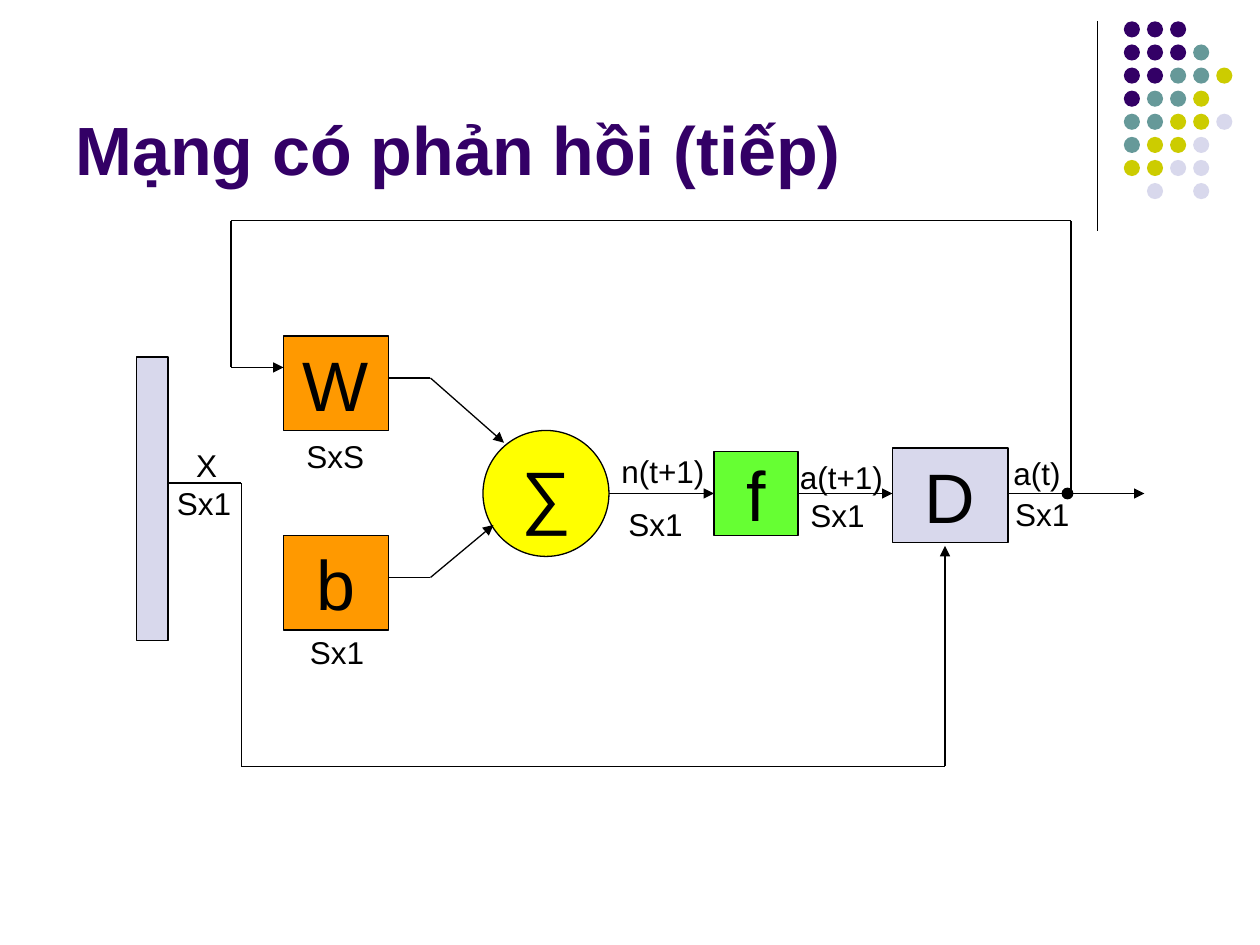
from lxml.etree import SubElement
from pptx import Presentation
from pptx.dml.color import RGBColor
from pptx.enum.shapes import MSO_CONNECTOR as Connector, MSO_SHAPE as Shape
from pptx.enum.text import MSO_ANCHOR as Anchor, PP_ALIGN as Align
from pptx.oxml.ns import qn
from pptx.util import Pt

COLORS = {
    "black": "000000", "purple": "330066", "teal": "669999", "olive": "CCCC00",
    "lavender": "D8D8EC", "orange": "FF9900", "yellow": "FFFF00", "green": "66FF33",
}
FONT = "Arial"
LINE_WIDTH = 0.75

TITLE = "Mạng có phản hồi (tiếp)"
TITLE_BOX = (36, 9.4, 594, 102.2)

# Corner dots: one letter per dot, a dot character for an empty place
DOT_ROWS = ["PPP..", "PPPT.", "PPTTO", "PTTO.", "TTOOL", "TOOL.", "OOLL.", ".L.L."]
DOT_COLORS = {"P": "purple", "T": "teal", "O": "olive", "L": "lavender"}
DOT_LEFT, DOT_TOP, DOT_PITCH, DOT_SIZE = 642.2, 12.2, 13.2, 9.2
CORNER_RULE = [(627, 12), (627, 132)]

# Blocks: name, preset, left, top, width, height, fill, text
AXIS = 282
BLOCKS = [
    ("input", Shape.RECTANGLE, 78, 204, 18, 162, "lavender", ""),
    ("weight", Shape.RECTANGLE, 162, 192, 60, 54, "orange", "W"),
    ("bias", Shape.RECTANGLE, 162, 306, 60, 54, "orange", "b"),
    ("sum", Shape.OVAL, 276, 246, 72, 72, "yellow", "∑"),
    ("transfer", Shape.RECTANGLE, 408, 258, 48, 48, "green", "f"),
    ("delay", Shape.RECTANGLE, 510, 256, 66, 54, "lavender", "D"),
    ("junction", Shape.OVAL, 607, 279, 6, 6, "black", ""),
]

# Wires: corner points and whether the last segment has an arrowhead
WIRES = [
    ([(222, 216), (246, 216), (288, 253)], True),
    ([(222, 330), (246, 330), (282, 300)], True),
    ([(576, AXIS), (654, AXIS)], True),
    ([(612, AXIS), (612, 126), (132, 126), (132, 210), (162, 210)], True),
    ([(96, 276), (138, 276), (138, 438), (540, 438), (540, 312)], True),
]

# Labels: text, left, top, width
LABEL_HEIGHT = 29
LABELS = [
    ("X", 105, 251.5, 54), ("Sx1", 94, 273, 54),
    ("SxS", 168, 246, 54), ("Sx1", 170, 358, 54),
    ("n(t+1)", 348, 255, 78), ("Sx1", 352, 285, 54),
    ("a(t+1)", 450, 258, 78), ("Sx1", 456, 280, 54),
    ("a(t)", 572, 256, 60), ("Sx1", 573, 279.5, 54),
]


def color(name):
    return RGBColor.from_string(COLORS[name])


def add_block(page, preset, frame, fill, outlined=True):
    block = page.shapes.add_shape(preset, *map(Pt, frame))
    block.shadow.inherit = False
    block.fill.solid()
    block.fill.fore_color.rgb = color(fill)
    if outlined:
        block.line.color.rgb = color("black")
        block.line.width = Pt(LINE_WIDTH)
    else:
        block.line.fill.background()
    return block


def write(box, text, size, font_color="black", bold=False, align=Align.LEFT):
    box.text_frame.text = text
    para = box.text_frame.paragraphs[0]
    para.alignment = align
    font = para.runs[0].font
    font.name, font.size, font.bold = FONT, Pt(size), bold
    font.color.rgb = color(font_color)


def add_text_box(page, frame, text, size, anchor=Anchor.TOP, **style):
    box = page.shapes.add_textbox(*map(Pt, frame))
    box.text_frame.word_wrap = True
    box.text_frame.vertical_anchor = anchor
    write(box, text, size, **style)


def add_segment(page, start, end, arrow=False):
    segment = page.shapes.add_connector(Connector.STRAIGHT, *map(Pt, (*start, *end)))
    segment.line.color.rgb = color("black")
    segment.line.width = Pt(LINE_WIDTH)
    properties = segment._element.spPr
    if arrow:
        SubElement(properties.find(qn("a:ln")), qn("a:tailEnd"), type="triangle")
    SubElement(properties, qn("a:effectLst"))
    return segment


def main():
    deck = Presentation()
    deck.slide_width, deck.slide_height = Pt(720), Pt(540)
    page = deck.slides.add_slide(deck.slide_layouts[6])

    # Corner decoration
    add_segment(page, *CORNER_RULE)
    for row, letters in enumerate(DOT_ROWS):
        for column, letter in enumerate(letters):
            if letter in DOT_COLORS:
                frame = (DOT_LEFT + column * DOT_PITCH, DOT_TOP + row * DOT_PITCH,
                         DOT_SIZE, DOT_SIZE)
                add_block(page, Shape.OVAL, frame, DOT_COLORS[letter], outlined=False)

    # Title
    add_text_box(page, TITLE_BOX, TITLE, 39, anchor=Anchor.BOTTOM,
                 font_color="purple", bold=True)

    # Blocks
    blocks = {}
    for name, preset, *frame, fill, text in BLOCKS:
        block = blocks[name] = add_block(page, preset, frame, fill)
        if text:
            block.text_frame.word_wrap = False
            block.text_frame.vertical_anchor = Anchor.MIDDLE
            write(block, text, 40, align=Align.CENTER)

    # Wires
    for points, arrow in WIRES:
        last = len(points) - 2
        for index, (start, end) in enumerate(zip(points, points[1:])):
            add_segment(page, start, end, arrow and index == last)

    # Wires joined to the transfer block
    into = add_segment(page, (348, AXIS), (408, AXIS), arrow=True)
    into.end_connect(blocks["transfer"], 1)
    out = add_segment(page, (456, AXIS), (510, AXIS), arrow=True)
    out.begin_connect(blocks["transfer"], 3)

    # Labels
    for text, left, top, width in LABELS:
        add_text_box(page, (left, top, width, LABEL_HEIGHT), text, 18)

    deck.save("out.pptx")


if __name__ == "__main__":
    main()
